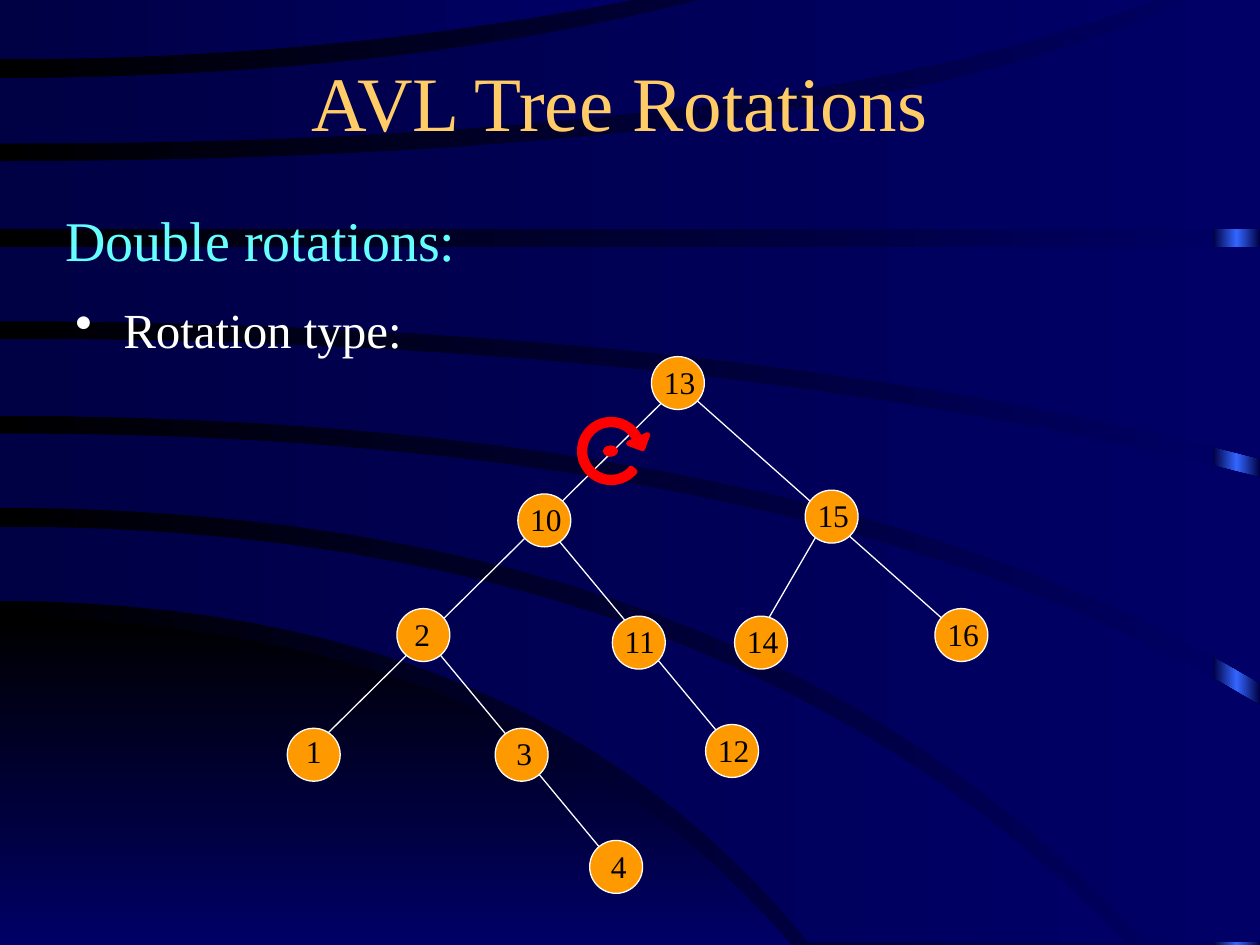
from copy import deepcopy
from dataclasses import dataclass
from math import cos, radians, sin
from typing import Optional

from pptx import Presentation
from pptx.dml.color import RGBColor
from pptx.enum.shapes import MSO_CONNECTOR as Connector, MSO_SHAPE as ShapeKind
from pptx.enum.text import MSO_ANCHOR as Anchor, MSO_AUTO_SIZE as AutoSize, PP_ALIGN as Align
from pptx.oxml.ns import qn
from pptx.oxml.xmlchemy import OxmlElement
from pptx.util import Inches, Pt

Point = tuple[float, float]


@dataclass(frozen=True)
class Theme:
    font: str = "Times New Roman"
    black: str = "000000"
    white: str = "FFFFFF"
    navy: str = "000066"
    band: str = "000044"
    rail: str = "3366FF"
    title: str = "FFCC66"
    heading: str = "66FFFF"
    node: str = "FF9900"
    turn: str = "FF0000"
    title_size: int = 44
    heading_size: int = 32
    bullet_size: int = 28
    node_size: int = 18
    thin: float = 0.75
    thick: float = 3


@dataclass(frozen=True)
class Label:
    text: str
    left: float
    top: float
    width: float
    height: float
    size: int
    color: str
    before: float = 0
    align: Align = Align.LEFT
    anchor: Anchor = Anchor.TOP
    hanging: float = 0
    bullet: Optional[str] = None
    grow: bool = False


@dataclass(frozen=True)
class Node:
    text: str
    left: float
    top: float
    shift_x: float = 0
    shift_y: float = 0


@dataclass(frozen=True)
class Curve:
    start_y: float
    bend_x: float
    end: Point

    def points(self, steps: int = 24) -> list[Point]:
        end_x, end_y = self.end
        fractions = [step / steps for step in range(steps + 1)]
        return [(2 * t * (1 - t) * self.bend_x + t * t * end_x,
                 self.start_y + t * t * (end_y - self.start_y)) for t in fractions]


@dataclass(frozen=True)
class Band:
    upper: Curve
    lower: Curve
    corner: Optional[Point] = None

    def points(self) -> list[Point]:
        corner = [self.corner] if self.corner else []
        return self.upper.points() + corner + self.lower.points()[::-1]


THEME = Theme()
NODE_DIAMETER = 0.42

DOME = Curve(4.91, 4.08, (6.28, 7.5))

BANDS = [
    Band(Curve(4.18, 5.77, (8.93, 7.48)), Curve(4.77, 4.23, (6.42, 7.48))),
    Band(Curve(3.44, 6.45, (10, 5.6)), Curve(4.03, 5.98, (9.09, 7.48)), (10, 7.48)),
    Band(Curve(2.69, 5.75, (10, 3.79)), Curve(3.3, 6.44, (10, 5.42))),
    Band(Curve(1.96, 5, (10, 1.96)), Curve(2.55, 5.82, (10, 3.64))),
    Band(Curve(1.28, 6.72, (9.43, 0)), Curve(1.82, 5, (10, 1.82)), (10, 0)),
    Band(Curve(0.62, 3.14, (5.56, 0)), Curve(1.14, 6.19, (9.17, 0))),
    Band(Curve(0, 2.5, (5.01, 0)), Curve(0.47, 2.58, (5.01, 0))),
]

EDGES = [((2.5, 5.92), (5.39, 3.06)), ((3.33, 5), (4.92, 6.92)), ((4.26, 4.08), (5.92, 6.08)),
         ((6.58, 4.08), (6, 5.08)), ((5.33, 3), (7.58, 5))]

NODES = [Node("1", 2.28, 5.78, 0.05, -0.02), Node("3", 3.93, 5.78, 0.07), Node("13", 5.17, 2.83),
         Node("15", 6.39, 3.89), Node("16", 7.42, 4.83), Node("10", 4.11, 3.92),
         Node("14", 5.83, 4.89), Node("2", 3.15, 4.83, 0.04), Node("11", 4.86, 4.89),
         Node("12", 5.6, 5.75), Node("4", 4.68, 6.67, 0.07)]

LABELS = [
    Label("AVL Tree Rotations", 0.67, 0.17, 8.5, 1.25, THEME.title_size, THEME.title,
          align=Align.CENTER, anchor=Anchor.MIDDLE),
    Label("Double rotations:", 0.42, 1.58, 3.83, 0.67, THEME.heading_size, THEME.heading,
          before=8, hanging=0.38),
    Label("Rotation type:", 0.5, 2.33, 4.58, 0.67, THEME.bullet_size, THEME.white,
          before=7, hanging=0.38, bullet="•"),
]


def paint_gradient(fill, colors: tuple[str, str], angle: int = 0) -> None:
    fill.gradient()
    fill.gradient_angle = angle
    for stop, color, position in zip(fill.gradient_stops, colors, (0, 1)):
        stop.color.rgb = RGBColor.from_string(color)
        stop.position = position


def paint_solid(shape, color: str, line_color: str, line_width: float) -> None:
    shape.shadow.inherit = False
    shape.fill.solid()
    shape.fill.fore_color.rgb = RGBColor.from_string(color)
    shape.line.color.rgb = RGBColor.from_string(line_color)
    shape.line.width = Pt(line_width)


def add_outline(shapes, points: list[Point]):
    corners = [(Inches(x), Inches(y)) for x, y in points]
    builder = shapes.build_freeform(*corners[0])
    builder.add_line_segments(corners[1:], close=True)
    shape = builder.convert_to_shape()
    shape.shadow.inherit = False
    return shape


def add_gradient_outline(shapes, points: list[Point], start: str, angle: int = 0) -> None:
    shape = add_outline(shapes, points)
    paint_gradient(shape.fill, (start, THEME.navy), angle)
    shape.line.fill.background()


def add_rail(shapes) -> None:
    shape = shapes.add_shape(ShapeKind.RECTANGLE, Inches(9.63), 0, Inches(0.37), Inches(7.5))
    shape.shadow.inherit = False
    shape.line.fill.background()
    paint_gradient(shape.fill, (THEME.band, THEME.rail))
    first, middle = shape._element.spPr.iter(qn("a:gs"))
    middle.set("pos", "50000")
    last = deepcopy(first)
    last.set("pos", "100000")
    middle.addnext(last)


def add_label(shapes, label: Label) -> None:
    box = shapes.add_textbox(*map(Inches, (label.left, label.top, label.width, label.height)))
    frame = box.text_frame
    frame.word_wrap = True
    frame.auto_size = AutoSize.SHAPE_TO_FIT_TEXT if label.grow else AutoSize.NONE
    frame.vertical_anchor = label.anchor
    paragraph = frame.paragraphs[0]
    paragraph.alignment = label.align
    paragraph.space_before = Pt(label.before)
    properties = paragraph._p.get_or_add_pPr()
    properties.set("marL", str(Inches(label.hanging)))
    properties.set("indent", str(-Inches(label.hanging)))
    if label.bullet:
        bullet_color = OxmlElement("a:buClr")
        rgb = OxmlElement("a:srgbClr")
        rgb.set("val", label.color)
        bullet_color.append(rgb)
        character = OxmlElement("a:buChar")
        character.set("char", label.bullet)
        properties.extend([bullet_color, character])
    run = paragraph.add_run()
    run.text = label.text
    run.font.name = THEME.font
    run.font.size = Pt(label.size)
    run.font.color.rgb = RGBColor.from_string(label.color)


def add_edge(shapes, start: Point, end: Point) -> None:
    edge = shapes.add_connector(Connector.STRAIGHT, *map(Inches, start + end))
    edge.line.color.rgb = RGBColor.from_string(THEME.white)
    edge.line.width = Pt(THEME.thin)
    edge._element.spPr.append(OxmlElement("a:effectLst"))


def add_node(shapes, node: Node) -> None:
    circle = shapes.add_shape(ShapeKind.OVAL, Inches(node.left), Inches(node.top),
                              Inches(NODE_DIAMETER), Inches(NODE_DIAMETER))
    paint_solid(circle, THEME.node, THEME.white, THEME.thin)
    add_label(shapes, Label(node.text, node.left + node.shift_x, node.top + node.shift_y, 0.5, 0.4,
                            THEME.node_size, THEME.black, before=11.2, grow=True))


def arc(center: Point, radius: float, start: int, end: int, steps: int = 48) -> list[Point]:
    angles = [radians(start + (end - start) * step / steps) for step in range(steps + 1)]
    return [(center[0] + radius * cos(angle), center[1] + radius * sin(angle)) for angle in angles]


def add_rotation_arrow(shapes) -> None:
    group = shapes.add_group_shape().shapes
    center = (4.85, 3.58)
    head = [(5.14, 3.45), (5.1, 3.56), (4.99, 3.52)]
    ring = arc(center, 0.25, 41, 337) + head + arc(center, 0.21, 336, 41)
    paint_solid(add_outline(group, ring), THEME.turn, THEME.turn, THEME.thick)
    pivot = group.add_shape(ShapeKind.OVAL, *map(Inches, (4.79, 3.54, 0.11, 0.08)))
    paint_solid(pivot, THEME.turn, THEME.turn, THEME.thin)


def main() -> None:
    presentation = Presentation()
    presentation.slide_width, presentation.slide_height = Inches(10), Inches(7.5)
    slide = presentation.slides.add_slide(presentation.slide_layouts[6])
    shapes = slide.shapes
    paint_gradient(slide.background.fill, (THEME.black, THEME.navy))
    add_rail(shapes)
    add_gradient_outline(shapes, DOME.points() + [(0, 7.5)], THEME.black, angle=270)
    for band in BANDS:
        add_gradient_outline(shapes, band.points(), THEME.band)
    for start, end in EDGES:
        add_edge(shapes, start, end)
    for label in LABELS:
        add_label(shapes, label)
    for node in NODES:
        add_node(shapes, node)
    add_rotation_arrow(shapes)
    presentation.save("out.pptx")


if __name__ == "__main__":
    main()
